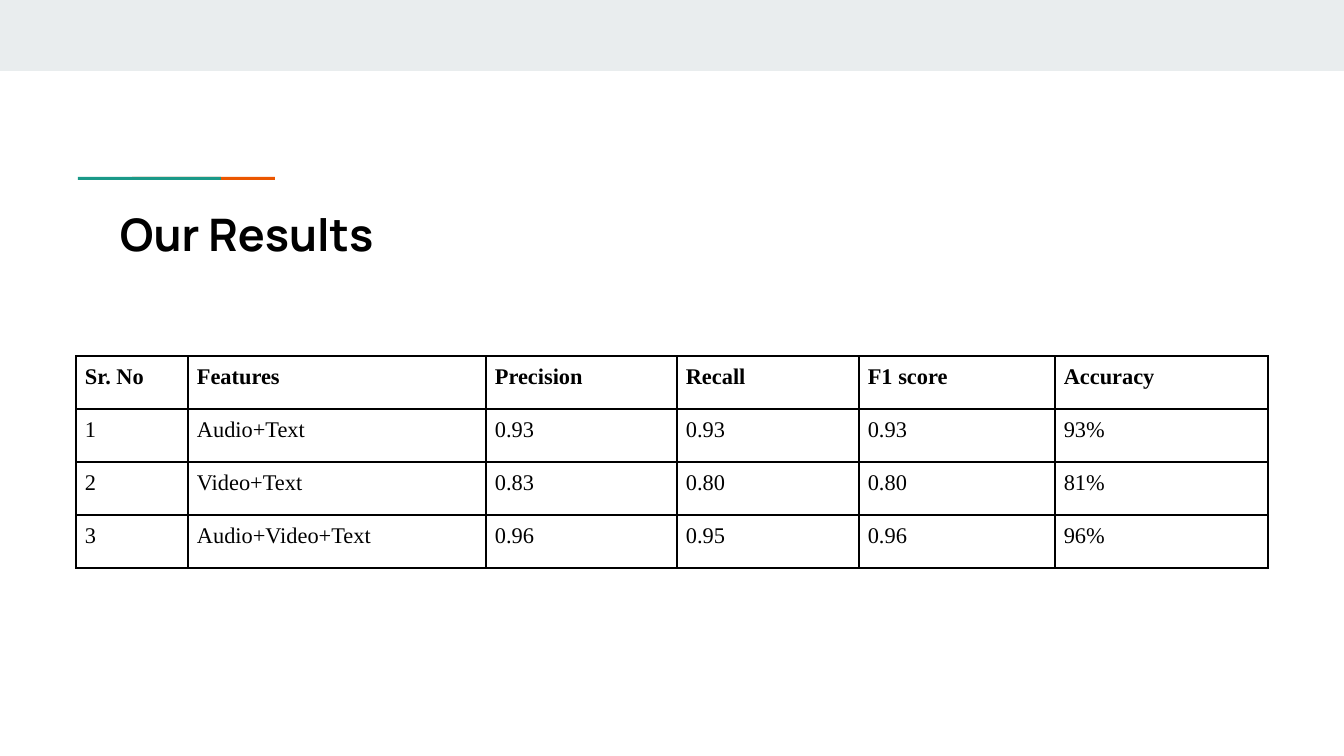
from dataclasses import dataclass

from lxml import etree
from pptx import Presentation, util as u
from pptx.dml.color import RGBColor
from pptx.enum import shapes, text
from pptx.oxml import ns

PX = 914400 / 134.4


@dataclass(frozen=True)
class Theme:
    band: str = "E9EDEE"
    orange: str = "EB5600"
    green: str = "1A9988"
    ink: str = "000000"
    title_font: str = "Manrope"
    table_font: str = "Times New Roman"
    title_size: int = 24
    table_size: int = 12
    border: int = 1


theme = Theme()


def px(*lengths):
    """Turn pixel lengths into a list of EMU lengths."""
    return [u.Emu(round(length * PX)) for length in lengths]


def add_run(paragraph, words, font_name, size, bold):
    run = paragraph.add_run()
    run.text = words
    run.font.name = font_name
    run.font.size = u.Pt(size)
    run.font.bold = bold
    run.font.color.rgb = RGBColor.from_string(theme.ink)


prs = Presentation()
prs.slide_width, prs.slide_height = px(1344, 756)
slide = prs.slides.add_slide(prs.slide_layouts[6])

# Top band, then the accent line: green overlaps the left part of orange
for color, box in (
    (theme.band, (0, 0, 1344, 71)),
    (theme.orange, (132, 177, 143, 3)),
    (theme.green, (78, 177, 143, 3)),
):
    bar = slide.shapes.add_shape(shapes.MSO_SHAPE.RECTANGLE, *px(*box))
    bar.shadow.inherit = False
    bar.fill.solid()
    bar.fill.fore_color.rgb = RGBColor.from_string(color)
    bar.line.fill.background()

# Title
title = slide.shapes.add_textbox(*px(107, 194, 1130, 79)).text_frame
title.word_wrap = True
title.vertical_anchor = text.MSO_ANCHOR.TOP
title.margin_left, title.margin_top, title.margin_right, title.margin_bottom = px(13, 13, 13, 13)
add_run(title.paragraphs[0], "Our Results", theme.title_font, theme.title_size, True)

# Results table
results = (
    ("Sr. No", "Features", "Precision", "Recall", "F1 score", "Accuracy"),
    ("1", "Audio+Text", "0.93", "0.93", "0.93", "93%"),
    ("2", "Video+Text", "0.83", "0.80", "0.80", "81%"),
    ("3", "Audio+Video+Text", "0.96", "0.95", "0.96", "96%"),
)
column_widths = (112, 298, 191, 182, 196, 213)
row_height = 53
table = slide.shapes.add_table(
    len(results), len(column_widths),
    *px(76, 356, sum(column_widths), row_height * len(results)),
).table
table.first_row = table.horz_banding = False
for column, width in zip(table.columns, px(*column_widths)):
    column.width = width

for r, record in enumerate(results):
    table.rows[r].height = px(row_height)[0]
    for c, value in enumerate(record):
        cell = table.cell(r, c)
        cell.margin_left, cell.margin_top, cell.margin_right, cell.margin_bottom = px(9, 9, 9, 9)
        cell.fill.background()
        add_run(cell.text_frame.paragraphs[0], value,
                theme.table_font, theme.table_size, r == 0)
        properties = cell._tc.get_or_add_tcPr()
        for position, side in enumerate(("a:lnL", "a:lnR", "a:lnT", "a:lnB")):
            edge = etree.Element(ns.qn(side), w=str(u.Pt(theme.border)))
            fill = etree.SubElement(edge, ns.qn("a:solidFill"))
            etree.SubElement(fill, ns.qn("a:srgbClr"), val=theme.ink)
            properties.insert(position, edge)

prs.save("out.pptx")
